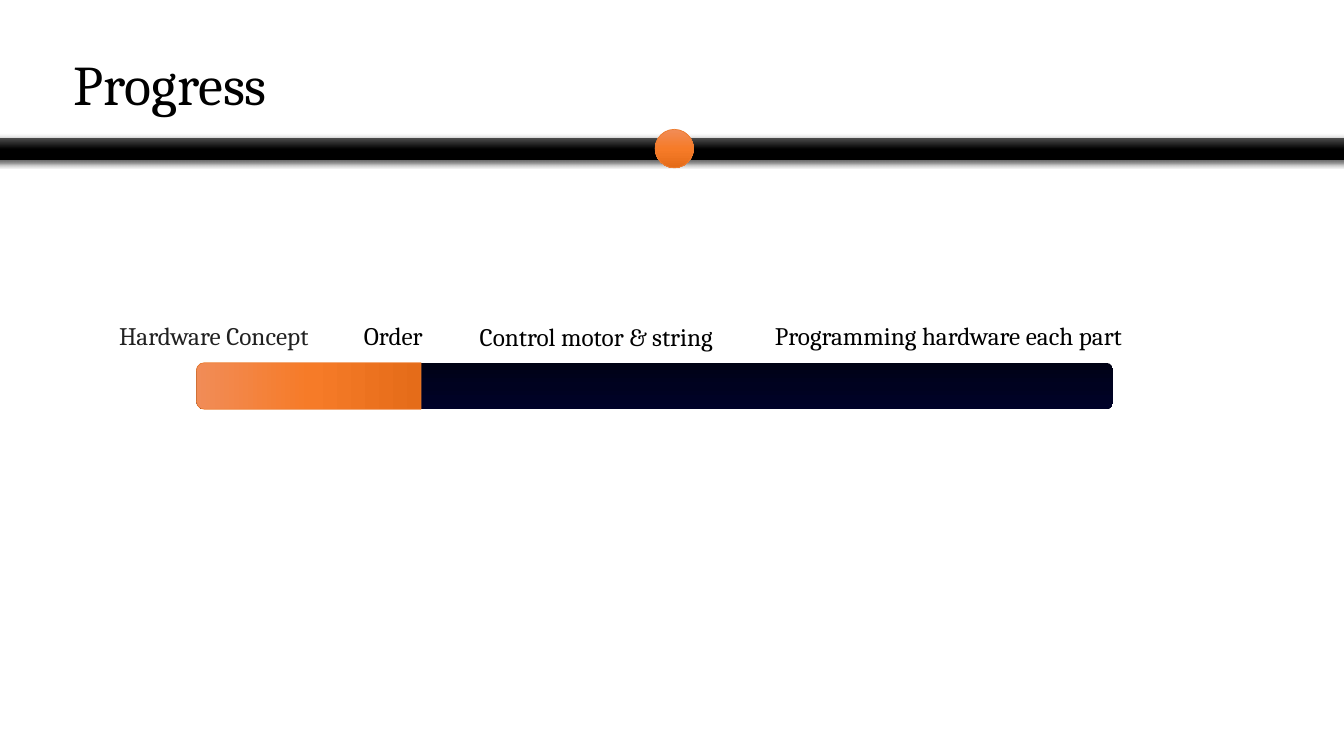
from pptx import Presentation
from pptx.dml.color import RGBColor
from pptx.enum.shapes import MSO_SHAPE as Shape
from pptx.enum.text import MSO_ANCHOR as Anchor, MSO_AUTO_SIZE as AutoSize
from pptx.oxml import parse_xml
from pptx.oxml.ns import nsdecls, qn
from pptx.util import Cm, Pt

BLACK = RGBColor(0x00, 0x00, 0x00)
CHARCOAL = RGBColor(0x4B, 0x4B, 0x4B)
INK = RGBColor(0x21, 0x21, 0x21)
ORANGE = RGBColor(0xED, 0x7D, 0x31)
TRACK_GREY = RGBColor(0xD6, 0xDC, 0xE5)
BLACK_FADE = (CHARCOAL, BLACK, BLACK)
ORANGE_FADE = (RGBColor(0xF1, 0x8C, 0x57), RGBColor(0xF6, 0x7B, 0x28),
               RGBColor(0xE5, 0x6C, 0x19))


class SlideBuilder:
    """Holds the text style and the current slide."""

    font = "Cambria"

    def __init__(self, page):
        self.page = page

    def shape(self, kind, left, top, width, height, fill, line=None, rotation=0):
        """Add a shape; a tuple of three colours as fill makes a gradient."""
        box = self.page.shapes.add_shape(kind, Cm(left), Cm(top), Cm(width), Cm(height))
        box.rotation = rotation
        box.shadow.inherit = False
        if isinstance(fill, tuple):
            self.fade(box, fill)
        else:
            box.fill.solid()
            box.fill.fore_color.rgb = fill
        if line is None:
            box.line.fill.background()
        else:
            box.line.color.rgb = line
            box.line.width = Pt(0.5)
        return box

    def fade(self, box, colors):
        """Fill with three evenly spaced stops, from top to bottom."""
        box.fill.gradient()
        stops = "".join(
            f'<a:gs pos="{index * 50000}"><a:srgbClr val="{color}"/></a:gs>'
            for index, color in enumerate(colors))
        properties = box._element.spPr
        properties.replace(properties.find(qn("a:gradFill")), parse_xml(
            f'<a:gradFill {nsdecls("a")} rotWithShape="1"><a:gsLst>{stops}</a:gsLst>'
            '<a:lin ang="5400000" scaled="0"/></a:gradFill>'))

    def drop_shadow(self, box):
        effects = box._element.spPr.find(qn("a:effectLst"))
        effects.append(parse_xml(
            f'<a:outerShdw {nsdecls("a")} blurRad="{Pt(4.5)}" dist="{Pt(1.5)}" '
            'dir="5400000" rotWithShape="0"><a:srgbClr val="000000">'
            '<a:alpha val="63000"/></a:srgbClr></a:outerShdw>'))

    def text(self, words, left, top, width, height, size=18, color=BLACK, tight=False):
        """Add a one-line text box; a tight one has no margins and no wrapping."""
        box = self.page.shapes.add_textbox(Cm(left), Cm(top), Cm(width), Cm(height))
        frame = box.text_frame
        frame.word_wrap = not tight
        frame.auto_size = AutoSize.SHAPE_TO_FIT_TEXT
        if tight:
            frame.vertical_anchor = Anchor.MIDDLE
            frame.margin_left = frame.margin_right = 0
            frame.margin_top = frame.margin_bottom = 0
        span = frame.paragraphs[0].add_run()
        span.text = words
        span.font.name = self.font
        span.font.size = Pt(size)
        span.font.color.rgb = color
        return box


def main():
    deck = Presentation()
    deck.slide_width, deck.slide_height = Cm(33.87), Cm(19.05)
    slide = SlideBuilder(deck.slides.add_slide(deck.slide_layouts[6]))

    # Header band with its dot, and the title
    band = slide.shape(Shape.ROUNDED_RECTANGLE, -1.88, 3.48, 40.92, 0.56, BLACK_FADE)
    slide.drop_shadow(band)
    slide.shape(Shape.OVAL, 16.51, 3.26, 0.97, 0.97, ORANGE_FADE, ORANGE)
    slide.text("Progress", 1.6, 1.12, 9.22, 1.96, size=40)

    # Progress bar: the done part is an upright shape turned onto its side
    left, top, length, thickness, done = 4.95, 9.14, 23.11, 1.17, 5.66
    slide.shape(Shape.ROUNDED_RECTANGLE, left, top, length, thickness, TRACK_GREY)
    turn = (done - thickness) / 2
    slide.shape(Shape.ROUND_2_SAME_RECTANGLE, left + turn, top - turn, thickness, done,
                ORANGE_FADE, ORANGE, rotation=270)

    # Stage labels
    slide.text("Hardware Concept", 3, 8.08, 5.23, 0.76, color=INK, tight=True)
    for words, label_left, label_top, width in (
            ("Order", 8.92, 7.95, 2.26),
            ("Control motor & string", 11.84, 7.98, 6.76),
            ("Programming hardware each part", 19.28, 7.95, 9.96)):
        slide.text(words, label_left, label_top, width, 1.02)

    deck.save("out.pptx")


if __name__ == "__main__":
    main()
